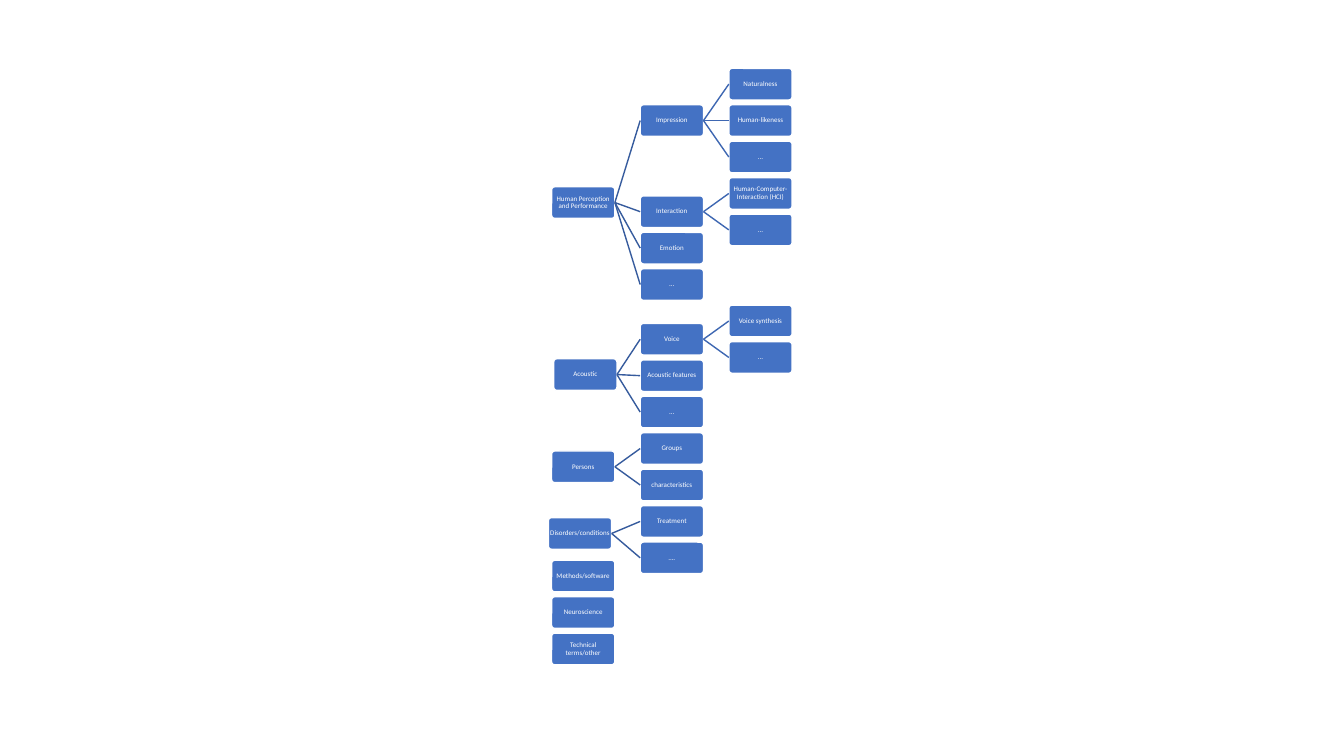
import pptx
import pptx.dml.color
import pptx.enum.shapes
import pptx.enum.text
import pptx.oxml
import pptx.util
from pptx.util import Pt

NODE_WIDTH, NODE_HEIGHT = 45.2, 22.6
COLUMN_PITCH, ROW_PITCH = 63.3, 26.03
LINK_COLORS = ["365B9D", "3E67B2"]

# Each topic: label, row, horizontal shift, subtopics
TOPICS = [
    ("Human Perception and Performance", 3.25, 0, [
        ("Impression", 1, 0, [
            ("Naturalness", 0, 0, []),
            ("Human-likeness", 1, 0, []),
            ("…", 2, 0, []),
        ]),
        ("Interaction", 3.5, 0, [
            ("Human-Computer-Interaction (HCI)", 3, 0, []),
            ("…", 4, 0, []),
        ]),
        ("Emotion", 4.5, 0, []),
        ("…", 5.5, 0, []),
    ]),
    ("Acoustic", 7.97, 1.5, [
        ("Voice", 7, 0, [
            ("Voice synthesis", 6.5, 0, []),
            ("...", 7.5, 0, []),
        ]),
        ("Acoustic features", 8, 0, []),
        ("…", 9, 0, []),
    ]),
    ("Persons", 10.5, 0, [
        ("Groups", 10, 0, []),
        ("characteristics", 11, 0, []),
    ]),
    ("Disorders/conditions", 12.33, -2.3, [
        ("Treatment", 12, 0, []),
        ("….", 13, 0, []),
    ]),
    ("Methods/software", 13.5, 0, []),
    ("Neuroscience", 14.5, 0, []),
    ("Technical terms/other", 15.5, 0, []),
]


def color(hex_string):
    """Return the colour for a hex string."""
    return pptx.dml.color.RGBColor.from_string(hex_string)


def add_node(slide, label, left, top):
    """Draw one labelled rounded box."""
    node = slide.shapes.add_shape(
        pptx.enum.shapes.MSO_SHAPE.ROUNDED_RECTANGLE,
        Pt(left), Pt(top), Pt(NODE_WIDTH), Pt(NODE_HEIGHT))
    node.adjustments[0] = 0.1
    node.shadow.inherit = False
    node.fill.solid()
    node.fill.fore_color.rgb = color("4472C4")
    node.line.color.rgb = color("FFFFFF")
    node.line.width = Pt(1)
    frame = node.text_frame
    frame.word_wrap = True
    frame.margin_left = frame.margin_right = frame.margin_top = frame.margin_bottom = 0
    frame.vertical_anchor = pptx.enum.text.MSO_ANCHOR.MIDDLE
    frame.text = label
    paragraph = frame.paragraphs[0]
    paragraph.alignment = pptx.enum.text.PP_ALIGN.CENTER
    paragraph.line_spacing = 0.9
    font = paragraph.runs[0].font
    font.name = "Calibri"
    font.size = Pt(5)
    font.color.rgb = color("FFFFFF")
    return node


def add_link(slide, parent, child, link_color):
    """Join the right side of a parent to the left side of its child."""
    link = slide.shapes.add_connector(
        pptx.enum.shapes.MSO_CONNECTOR.STRAIGHT, 0, 0, 0, 0)
    link.begin_connect(parent, 3)
    link.end_connect(child, 1)
    link.line.color.rgb = color(link_color)
    link.line.width = Pt(1)
    properties = link._element.spPr
    properties.append(properties.makeelement(pptx.oxml.ns.qn("a:effectLst"), {}))


def add_tree(slide, topics, left, top, level=0, parent=None):
    """Draw topics in one column and their subtopics in the columns to the right."""
    for label, row, shift, subtopics in topics:
        node = add_node(slide, label, left + level * COLUMN_PITCH + shift,
                        top + row * ROW_PITCH)
        if parent is not None:
            add_link(slide, parent, node, LINK_COLORS[level - 1])
        add_tree(slide, subtopics, left, top, level + 1, node)


def main():
    """Build the slide and save it."""
    presentation = pptx.Presentation()
    presentation.slide_width, presentation.slide_height = Pt(960), Pt(540)
    slide = presentation.slides.add_slide(presentation.slide_layouts[6])
    add_tree(slide, TOPICS, left=394, top=48.8)
    presentation.save("out.pptx")


if __name__ == "__main__":
    main()
